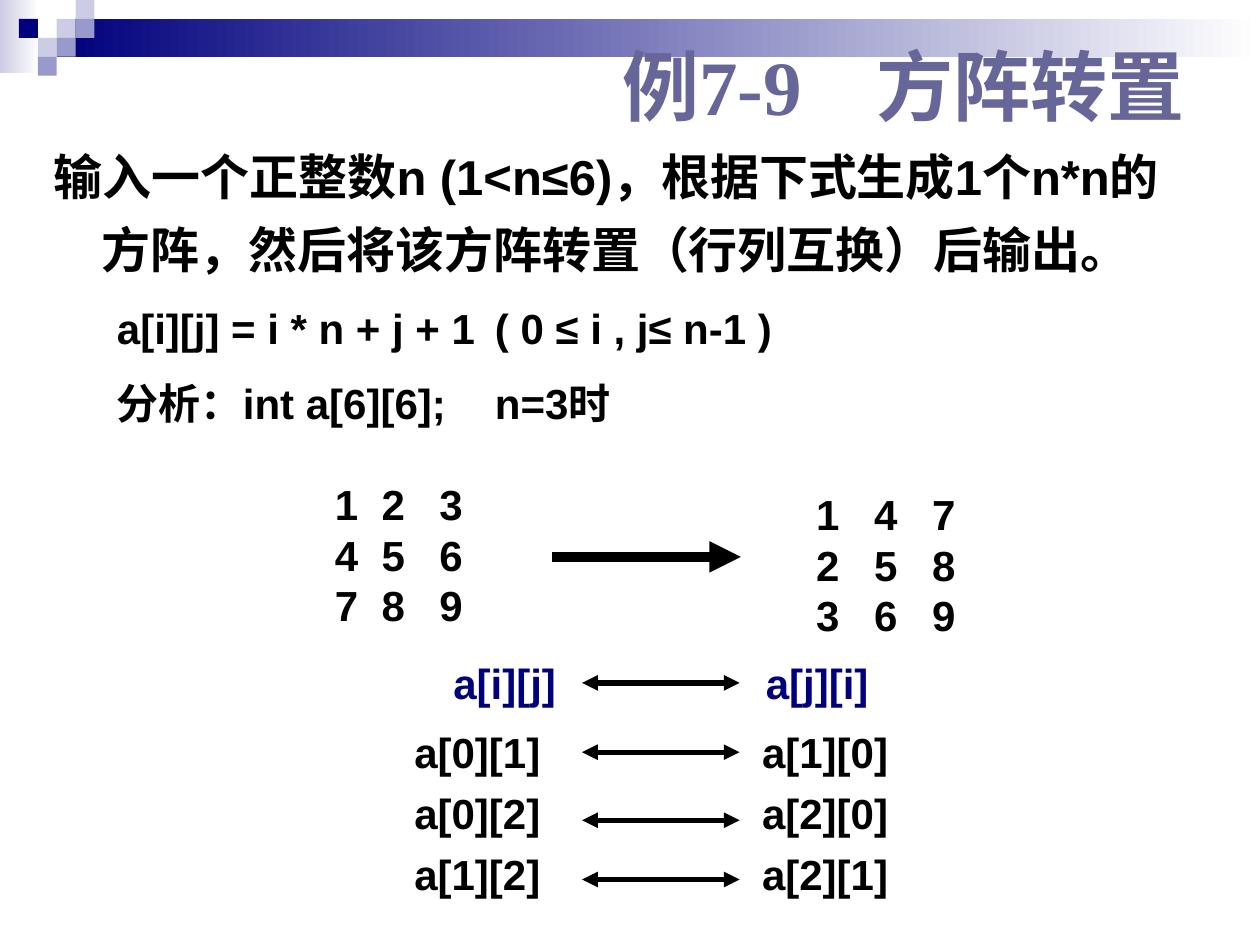
from dataclasses import dataclass

from lxml import etree
from pptx import Presentation
from pptx import util as u
from pptx.dml.color import RGBColor
from pptx.enum import shapes, text
from pptx.oxml.ns import qn


@dataclass(frozen=True)
class Theme:
    navy: str = "00007D"
    lilac: str = "9999CC"
    pale: str = "CCCCE6"
    white: str = "FFFFFF"
    slate: str = "666699"
    black: str = "000000"
    sans: str = "Arial"
    serif: str = "Times New Roman"
    title_size: int = 44
    lead_size: int = 28
    text_size: int = 24


THEME = Theme()
MATRIX = [[1, 2, 3], [4, 5, 6], [7, 8, 9]]
SWAPS = [(0, 1), (0, 2), (1, 2)]


def add_block(slide, left, top, width, height, *colors):
    """Add a borderless rectangle; two colours make a left-to-right gradient."""
    block = slide.shapes.add_shape(
        shapes.MSO_SHAPE.RECTANGLE, *map(u.Inches, (left, top, width, height)))
    block.shadow.inherit = False
    block.line.fill.background()
    if len(colors) == 1:
        block.fill.solid()
        block.fill.fore_color.rgb = RGBColor.from_string(colors[0])
        return
    block.fill.gradient()
    block.fill.gradient_angle = 0
    for stop, color in zip(block.fill.gradient_stops, colors):
        stop.color.rgb = RGBColor.from_string(color)


def set_tabs(paragraph, stops):
    if not stops:
        return
    tab_list = etree.SubElement(paragraph._p.get_or_add_pPr(), qn("a:tabLst"))
    for stop in stops:
        etree.SubElement(tab_list, qn("a:tab"), pos=str(u.Inches(stop)), algn="l")


def add_text_frame(slide, left, top, width, height, **options):
    box = slide.shapes.add_textbox(*map(u.Inches, (left, top, width, height)))
    frame = box.text_frame
    for name, value in {"word_wrap": True, **options}.items():
        setattr(frame, name, value)
    return frame


def write_line(frame, wording, size=THEME.text_size, color=THEME.black,
               font=THEME.sans, tabs=(), indents=None, **spacing):
    """Write the next paragraph, using the frame's empty first one if free."""
    first = frame.paragraphs[0]
    paragraph = frame.add_paragraph() if first.runs else first
    set_tabs(paragraph, tabs)
    for name, value in (indents or {}).items():
        paragraph._p.get_or_add_pPr().set(name, str(u.Inches(value)))
    for name, value in spacing.items():
        setattr(paragraph, name, value)
    run = paragraph.add_run()
    run.text = wording
    style = {"name": font, "size": u.Pt(size), "bold": True}
    for name, value in style.items():
        setattr(run.font, name, value)
    run.font.color.rgb = RGBColor.from_string(color)


def add_arrow(slide, left, right, y, weight, ends):
    arrow = slide.shapes.add_connector(
        shapes.MSO_CONNECTOR.STRAIGHT, *map(u.Inches, (left, y, right, y)))
    arrow.line.width = u.Pt(weight)
    arrow.line.color.rgb = RGBColor.from_string(THEME.black)
    line = arrow.line._get_or_add_ln()
    for end in ends:
        etree.SubElement(line, qn(f"a:{end}"), type="triangle")
    etree.SubElement(arrow._element.spPr, qn("a:effectLst"))


def add_banner(slide):
    add_block(slide, 0, 0, 0.31, 0.58, THEME.pale, THEME.white)
    add_block(slide, 0.45, 0.15, 9.55, 0.3, THEME.navy, THEME.white)
    side = 0.15
    tiles = [(3, 1, THEME.pale), (4, 0, THEME.pale), (4, 1, THEME.lilac),
             (2, 2, THEME.pale), (1, 1, THEME.navy), (3, 2, THEME.lilac),
             (2, 3, THEME.lilac)]
    for column, row, color in tiles:
        add_block(slide, column * side, row * side, side, side, color)


def add_problem(slide):
    frame = add_text_frame(slide, 0.33, 1, 9.31, 2.51)
    write_line(frame, "输入一个正整数n (1<n≤6)，根据下式生成1个n*n的方阵，"
               "然后将该方阵转置（行列互换）后输出。", THEME.lead_size,
               indents={"marL": 0.38, "indent": -0.38}, line_spacing=1.24)
    details = [("a[i][j] = i * n + j + 1\t( 0 ≤ i , j≤ n-1 )", 3.62),
               ("分析：int a[6][6];\tn=3时", 3.38)]
    for wording, stop in details:
        write_line(frame, wording, tabs=[stop], indents={"indent": 0.5},
                   line_spacing=1.24, space_before=u.Pt(7.2))


def add_matrix(slide, left, top, width, rows, tabs):
    frame = add_text_frame(slide, left, top, width, 1.31,
                           auto_size=text.MSO_AUTO_SIZE.SHAPE_TO_FIT_TEXT)
    for row in rows:
        write_line(frame, "\t".join(map(str, row)), tabs=tabs)


def add_swaps(slide, lefts, top, height, pairs, color, arrow_ys):
    """Put index pairs and their transposed pairs on either side of arrows."""
    columns = [pairs, [(j, i) for i, j in pairs]]
    for left, column in zip(lefts, columns):
        frame = add_text_frame(slide, left, top, 1.4, height,
                               auto_size=text.MSO_AUTO_SIZE.SHAPE_TO_FIT_TEXT)
        for number, (row, col) in enumerate(column):
            write_line(frame, f"a[{row}][{col}]", color=color,
                       space_before=u.Pt(6 if number else 0))
    for y in arrow_ys:
        add_arrow(slide, 4.62, 5.87, y, 3, ("headEnd", "tailEnd"))


def main():
    deck = Presentation()
    deck.slide_width, deck.slide_height = u.Inches(10), u.Inches(7.5)
    slide = deck.slides.add_slide(deck.slide_layouts[6])

    add_banner(slide)
    add_problem(slide)
    title = add_text_frame(slide, 4.84, 0.21, 4.92, 0.92,
                           vertical_anchor=text.MSO_ANCHOR.MIDDLE)
    write_line(title, "例7-9\t方阵转置", THEME.title_size, THEME.slate,
               THEME.serif, tabs=[2.02])

    add_matrix(slide, 2.56, 3.75, 1.57, MATRIX, [0.37, 0.83])
    add_arrow(slide, 4.38, 5.88, 4.42, 6, ("tailEnd",))
    add_matrix(slide, 6.38, 3.83, 2.17, zip(*MATRIX), [0.46, 0.92])

    add_swaps(slide, (3.19, 5.95), 5.72, 1.48, SWAPS, THEME.black,
              [5.97, 6.51, 6.98])
    add_swaps(slide, (3.5, 5.98), 5.17, 0.5, [("i", "j")], THEME.navy, [5.42])
    deck.save("out.pptx")


if __name__ == "__main__":
    main()
